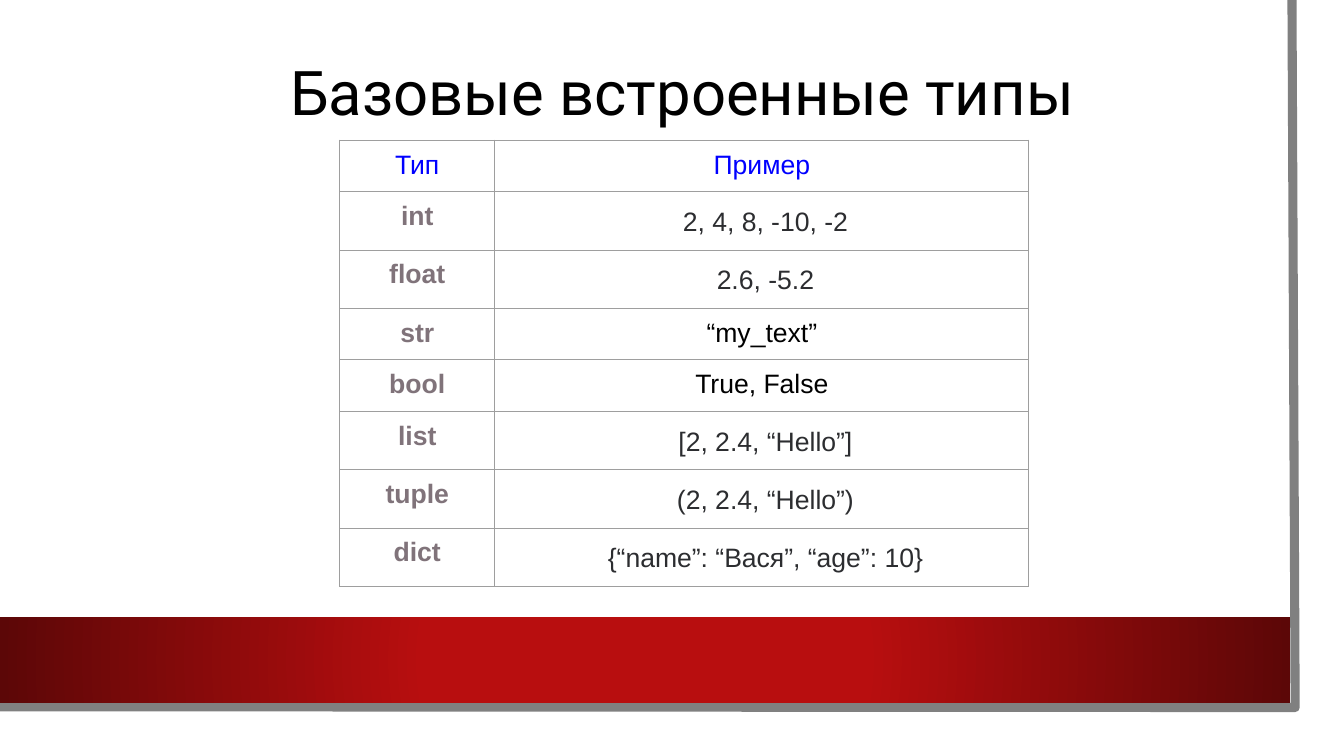
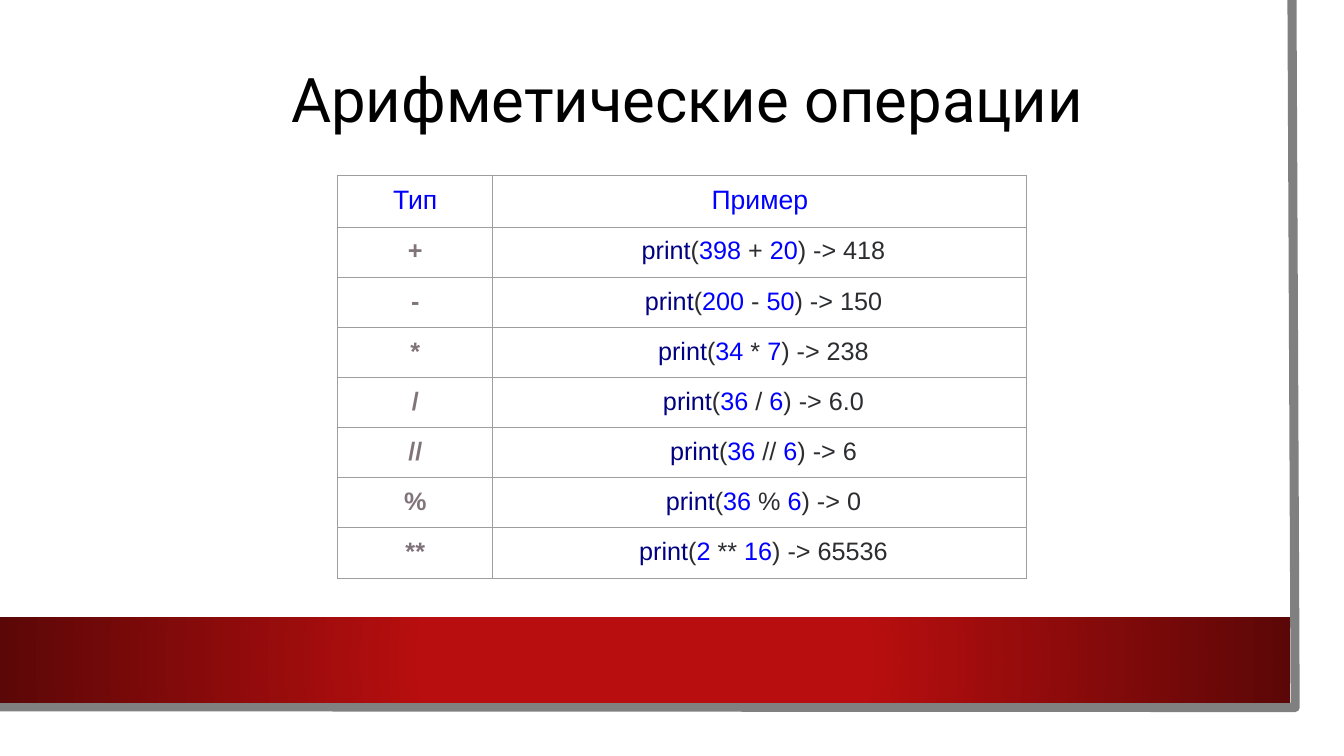
from dataclasses import dataclass

from pptx import Presentation
from pptx.dml.color import RGBColor
from pptx.enum.shapes import MSO_SHAPE
from pptx.enum.text import MSO_ANCHOR, PP_ALIGN
from pptx.oxml import parse_xml
from pptx.oxml.ns import nsdecls, qn
from pptx.util import Cm, Pt

RECT = MSO_SHAPE.RECTANGLE
BOTTOM = MSO_ANCHOR.BOTTOM
LEFT, CENTER = PP_ALIGN.LEFT, PP_ALIGN.CENTER


@dataclass(frozen=True)
class Theme:
    black: str = "000000"
    ink: str = "2C2D30"
    blue: str = "0000FF"
    navy: str = "000080"
    type_name: str = "80737A"
    grid: str = "9E9E9E"
    frame: str = "808080"
    band: str = "B80E0F"
    band_edge: str = "5C0707"
    title_font: str = "Roboto"
    body_font: str = "Arial"
    title_size: int = 44
    table_size: int = 19
    code_size: int = 18
    frame_width: float = 6.5
    grid_width: float = 0.75


T = Theme()


def write(p, runs, face, size, align=CENTER, bold=False):
    """Fill a paragraph with (text, colour) runs."""
    p.alignment = align
    p.font.name, p.font.size, p.font.bold = face, Pt(size), bold
    for text, colour in runs:
        r = p.add_run()
        r.text = text
        r.font.color.rgb = RGBColor.from_string(colour)


def style_cell(cell):
    """Clear the fill, set even margins and draw the four borders."""
    cell.fill.background()
    cell.margin_left = cell.margin_right = Cm(0.25)
    cell.margin_top = cell.margin_bottom = Cm(0.25)
    tc_pr = cell._tc.get_or_add_tcPr()
    for i, side in enumerate(("lnL", "lnR", "lnT", "lnB")):
        tc_pr.insert(i, parse_xml(
            f'<a:{side} {nsdecls("a")} w="{Pt(T.grid_width)}"><a:solidFill>'
            f'<a:srgbClr val="{T.grid}"/></a:solidFill></a:{side}>'))


HEADER = ("Тип", "Пример")
COLUMNS = (Cm(3.91), Cm(13.46))
ROW_HEIGHT = Cm(1.07)
INDENT = Cm(0.18)

# Type, example, whether the example is indented and spaced
TYPES = [
    ("int", "2, 4, 8, -10, -2", True),
    ("float", "2.6, -5.2", True),
    ("str", "“my_text”", False),
    ("bool", "True, False", False),
    ("list", "[2, 2.4, “Hello”]", True),
    ("tuple", "(2, 2.4, “Hello”)", True),
    ("dict", "{“name”: “Вася”, “age”: 10}", True),
]

# Operator, operands, result
OPERATIONS = [
    ("+", "398", "20", "418"),
    ("-", "200", "50", "150"),
    ("*", "34", "7", "238"),
    ("/", "36", "6", "6.0"),
    ("//", "36", "6", "6"),
    ("%", "36", "6", "0"),
    ("**", "2", "16", "65536"),
]

# Each table row: label, example runs, indented, spaced
type_rows = [(name, [(example, T.ink if spaced else T.black)], spaced, spaced)
             for name, example, spaced in TYPES]
operation_rows = [(op, [("print", T.navy), ("(", T.ink), (f"{a} ", T.blue),
                        (f"{op} ", T.ink), (b, T.blue),
                        (f") -> {result}", T.ink)], True, False)
                  for op, a, b, result in OPERATIONS]

# Title, title box, table corner, text size, rows
SLIDES = [
    ("Базовые встроенные типы", (Cm(7.06), Cm(1.19), Cm(20.35), Cm(2.18)),
     (Cm(8.56), Cm(3.53)), T.table_size, type_rows),
    ("Арифметические операции", (Cm(7.09), Cm(1.37), Cm(21.06), Cm(2.18)),
     (Cm(8.51), Cm(4.42)), T.code_size, operation_rows),
]

prs = Presentation()
prs.slide_width, prs.slide_height = Cm(33.87), Cm(19.05)

for title, title_box, corner, size, rows in SLIDES:
    s = prs.slides.add_slide(prs.slide_layouts[6])

    # Grey frame along the right and bottom edges
    outline = s.shapes.build_freeform(Cm(32.56), 0)
    outline.add_line_segments([(Cm(32.64), Cm(17.83)), (Cm(-0.08), Cm(17.81))],
                              close=False)
    frame = outline.convert_to_shape()
    frame.shadow.inherit = False
    frame.fill.background()
    frame.line.color.rgb = RGBColor.from_string(T.frame)
    frame.line.width = Pt(T.frame_width)

    # Red band, darker towards its ends
    band = s.shapes.add_shape(RECT, 0, Cm(15.55), Cm(32.51), Cm(2.16))
    band.shadow.inherit = False
    band.line.fill.background()
    band.fill.gradient()
    stops = zip(band.fill.gradient_stops, ((0.34, T.band), (1, T.band_edge)))
    for stop, (position, colour) in stops:
        stop.position = position
        stop.color.rgb = RGBColor.from_string(colour)
    gradient = band._element.spPr.find(qn("a:gradFill"))
    gradient.replace(gradient.find(qn("a:lin")), parse_xml(
        f'<a:path {nsdecls("a")} path="circle"><a:fillToRect l="50000" '
        't="50000" r="50000" b="50000"/></a:path>'))

    tf = s.shapes.add_textbox(*title_box).text_frame
    tf.word_wrap = True
    tf.vertical_anchor = BOTTOM
    p = tf.paragraphs[0]
    p.line_spacing = 0.9
    write(p, [(title, T.black)], T.title_font, T.title_size, LEFT)

    table = s.shapes.add_table(len(rows) + 1, len(COLUMNS), *corner, sum(COLUMNS),
                               ROW_HEIGHT * (len(rows) + 1)).table
    table.first_row = table.horz_banding = False
    for column, width in zip(table.columns, COLUMNS):
        column.width = width
    for cell in table.iter_cells():
        style_cell(cell)

    for i, heading in enumerate(HEADER):
        write(table.cell(0, i).text_frame.paragraphs[0], [(heading, T.blue)],
              T.body_font, T.table_size)
    for i, (label, example, indented, spaced) in enumerate(rows, 1):
        write(table.cell(i, 0).text_frame.paragraphs[0], [(label, T.type_name)],
              T.body_font, size, bold=True)
        p = table.cell(i, 1).text_frame.paragraphs[0]
        write(p, example, T.body_font, size)
        if indented:
            p._p.get_or_add_pPr().set("marL", str(INDENT))
        if spaced:
            p.line_spacing = 1.2
            p.space_before = Pt(10)

prs.save("out.pptx")
